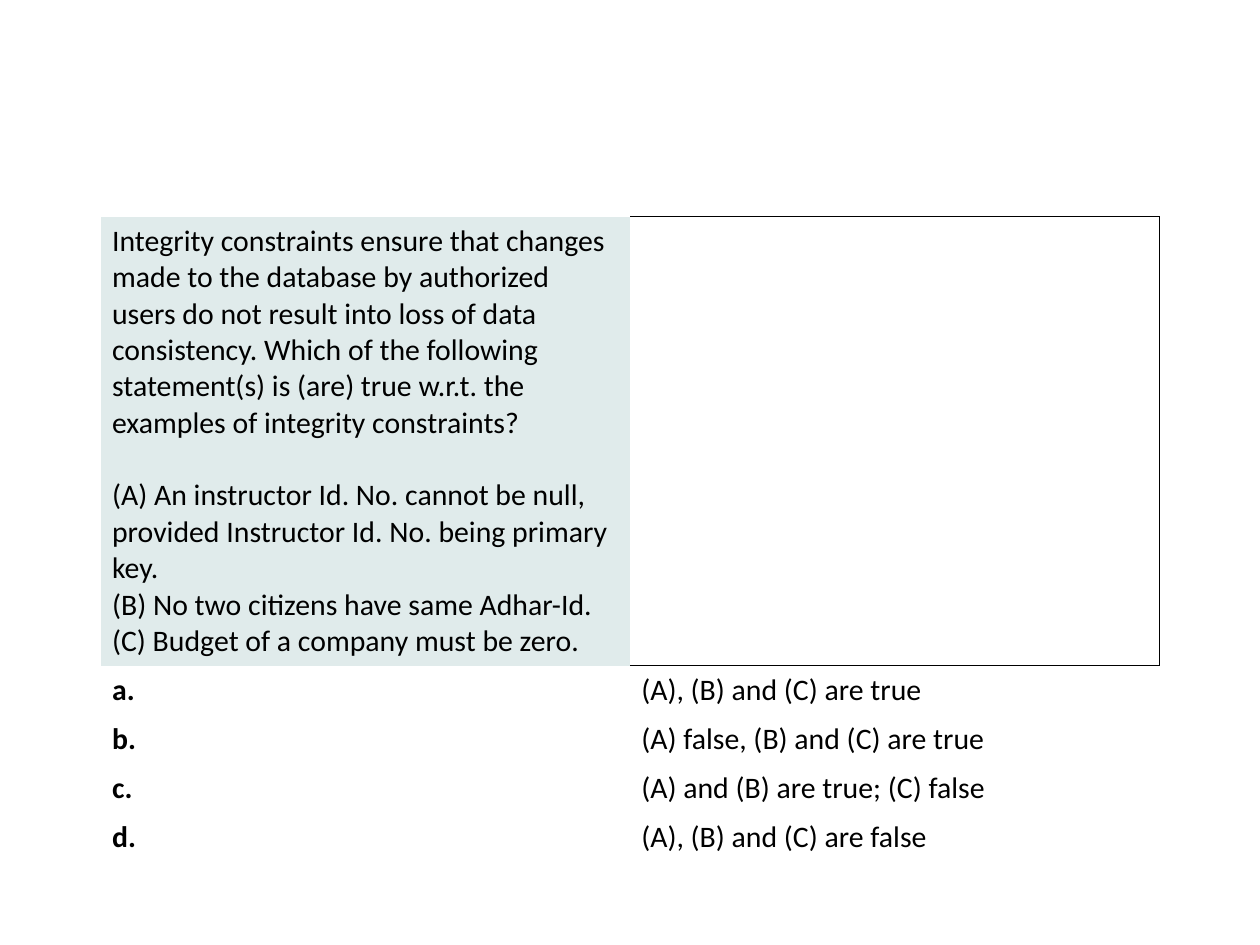
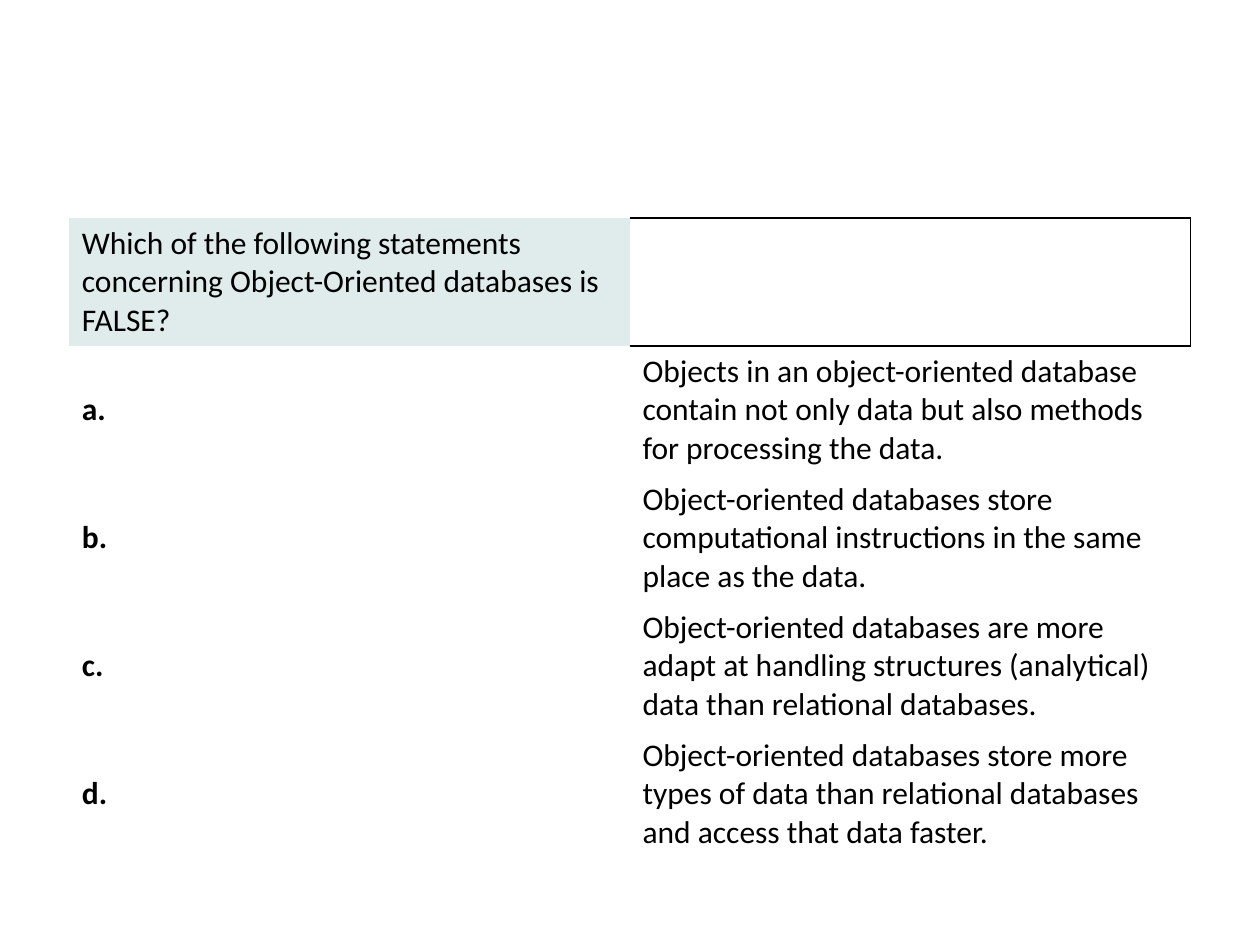
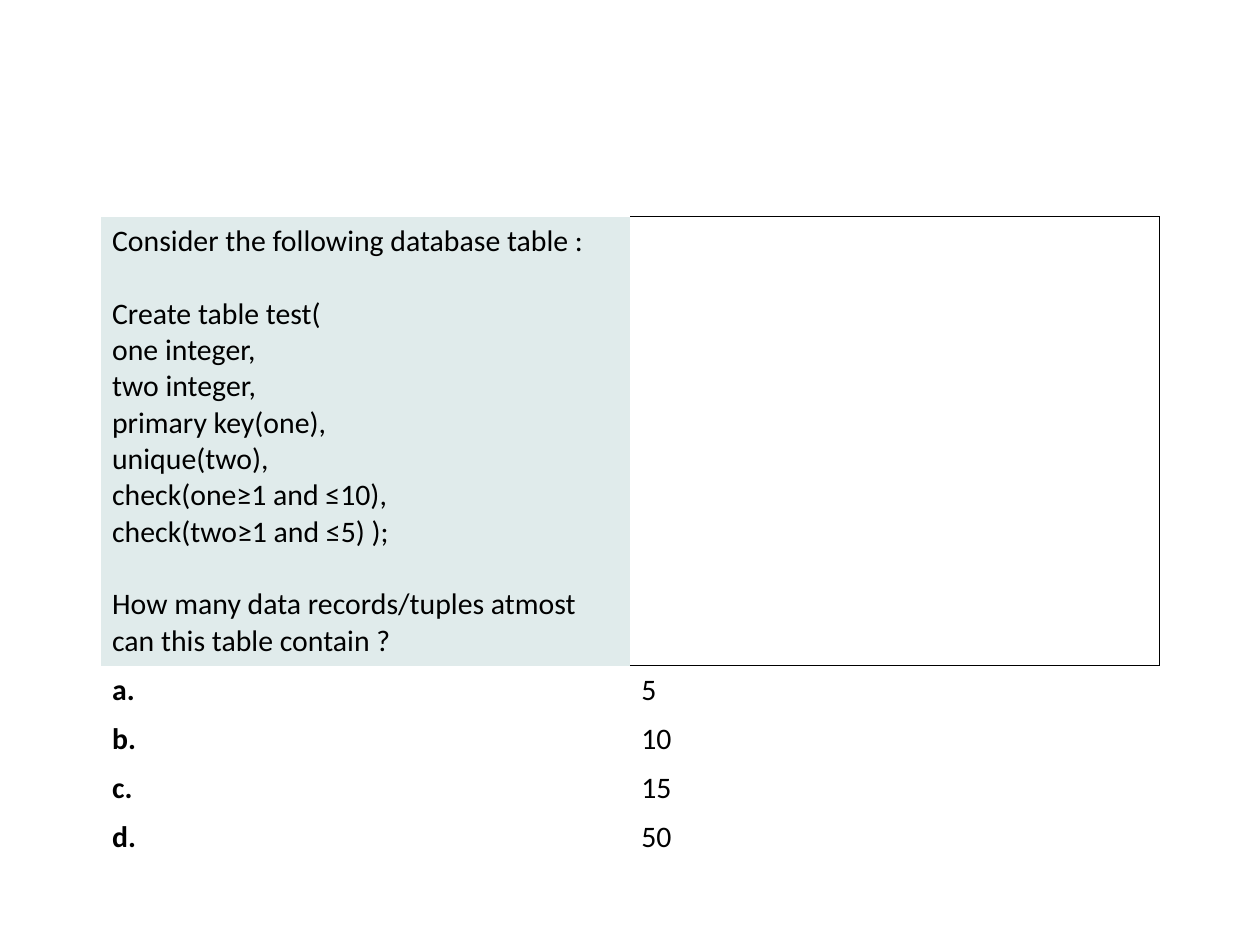
import pptx
import pptx.util
import pptx.dml.color
import pptx.enum.text
import pptx.oxml.ns
from lxml import etree

Inches = pptx.util.Inches
Pt = pptx.util.Pt

COLORS = {"text": "000000", "band": "E0EBEB", "edge": "000000"}
FONT = "Calibri"
LINE = 1.22  # line height as a multiple of the text size
EDGE = 0.75
PLAIN = "{2D5ABB26-0587-4C30-8999-92F81FD0307C}"  # no style, no grid

# Sizes for long and short questions
LONG = {"left": 0.8, "top": 1.72, "col": 4.2, "head": 3.46, "row": 0.37,
        "size": 17, "inset": 0.09}
SHORT = {"left": 0.55, "top": 1.73, "col": 4.45, "head": 0.99, "row": 0.99,
         "size": 18, "inset": 0.1}

# Each question is a list of blocks; each block is a list of lines.
QUIZ = [
    (LONG,
     [["Integrity constraints ensure that changes made to the database by "
       "authorized users do not result into loss of data consistency. Which "
       "of the following statement(s) is (are) true w.r.t. the examples of "
       "integrity constraints?"],
      ["(A) An instructor Id. No. cannot be null, provided Instructor Id. "
       "No. being primary key.",
       "(B) No two citizens have same Adhar-Id.",
       "(C) Budget of a company must be zero."]],
     ["(A), (B) and (C) are true",
      "(A) false, (B) and (C) are true",
      "(A) and (B) are true; (C) false",
      "(A), (B) and (C) are false"]),
    (SHORT,
     [["Which of the following statements concerning Object-Oriented "
       "databases is FALSE?"]],
     ["Objects in an object-oriented database contain not only data but also "
      "methods for processing the data.",
      "Object-oriented databases store computational instructions in the "
      "same place as the data.",
      "Object-oriented databases are more adapt at handling structures "
      "(analytical) data than relational databases.",
      "Object-oriented databases store more types of data than relational "
      "databases and access that data faster."]),
    (LONG,
     [["Consider the following database table :"],
      ["Create table test(",
       "one integer,",
       "two integer,",
       "primary key(one),",
       "unique(two),",
       "check(one≥1 and ≤10),",
       "check(two≥1 and ≤5) );"],
      ["How many data records/tuples atmost can this table contain ?"]],
     ["5", "10", "15", "50"]),
]


def color(name):
    return pptx.dml.color.RGBColor.from_string(COLORS[name])


def write(cell, blocks, form, bold=False):
    """Fill a cell with blocks of lines, one empty line apart."""
    cell.vertical_anchor = pptx.enum.text.MSO_ANCHOR.MIDDLE
    cell.margin_left = cell.margin_right = Inches(form["inset"])
    cell.margin_top = cell.margin_bottom = Inches(0.05)
    frame = cell.text_frame
    para = None
    for block in blocks:
        for index, line in enumerate(block):
            first = para is None
            para = frame.paragraphs[0] if first else frame.add_paragraph()
            if index == 0 and not first:
                para.space_before = Pt(form["size"] * LINE)
            run = para.add_run()
            run.text = line
            run.font.name = FONT
            run.font.size = Pt(form["size"])
            run.font.bold = bold
            run.font.color.rgb = color("text")


def outline(cell, sides):
    """Draw cell borders on the given sides; call before setting a fill."""
    props = cell._tc.get_or_add_tcPr()
    qn = pptx.oxml.ns.qn
    for side in sides:
        line = etree.SubElement(props, qn("a:ln" + side), w=str(Pt(EDGE)))
        fill = etree.SubElement(line, qn("a:solidFill"))
        etree.SubElement(fill, qn("a:srgbClr"), val=COLORS["edge"])


def add_grid(slide, form, count):
    """Add a plain table with a head row and count answer rows."""
    height = form["head"] + count * form["row"]
    frame = slide.shapes.add_table(
        count + 1, 2, Inches(form["left"]), Inches(form["top"]),
        Inches(2 * form["col"]), Inches(height))
    table = frame.table
    table.first_row = table.horz_banding = False
    style = table._tbl.tblPr.find(pptx.oxml.ns.qn("a:tableStyleId"))
    style.text = PLAIN
    for col in table.columns:
        col.width = Inches(form["col"])
    for index, row in enumerate(table.rows):
        row.height = Inches(form["row"] if index else form["head"])
    return table


def add_quiz(deck, form, blocks, answers):
    slide = deck.slides.add_slide(deck.slide_layouts[6])
    table = add_grid(slide, form, len(answers))
    outline(table.cell(0, 1), "RTB")
    for cell in table.iter_cells():
        cell.fill.background()
    head = table.cell(0, 0)
    head.fill.solid()
    head.fill.fore_color.rgb = color("band")
    write(head, blocks, form)
    for row, (mark, answer) in enumerate(zip("abcd", answers), 1):
        write(table.cell(row, 0), [[mark + "."]], form, bold=True)
        write(table.cell(row, 1), [[answer]], form)


def main():
    deck = pptx.Presentation()
    deck.slide_width = Inches(10)
    deck.slide_height = Inches(7.5)
    for form, blocks, answers in QUIZ:
        add_quiz(deck, form, blocks, answers)
    deck.save("out.pptx")


if __name__ == "__main__":
    main()
